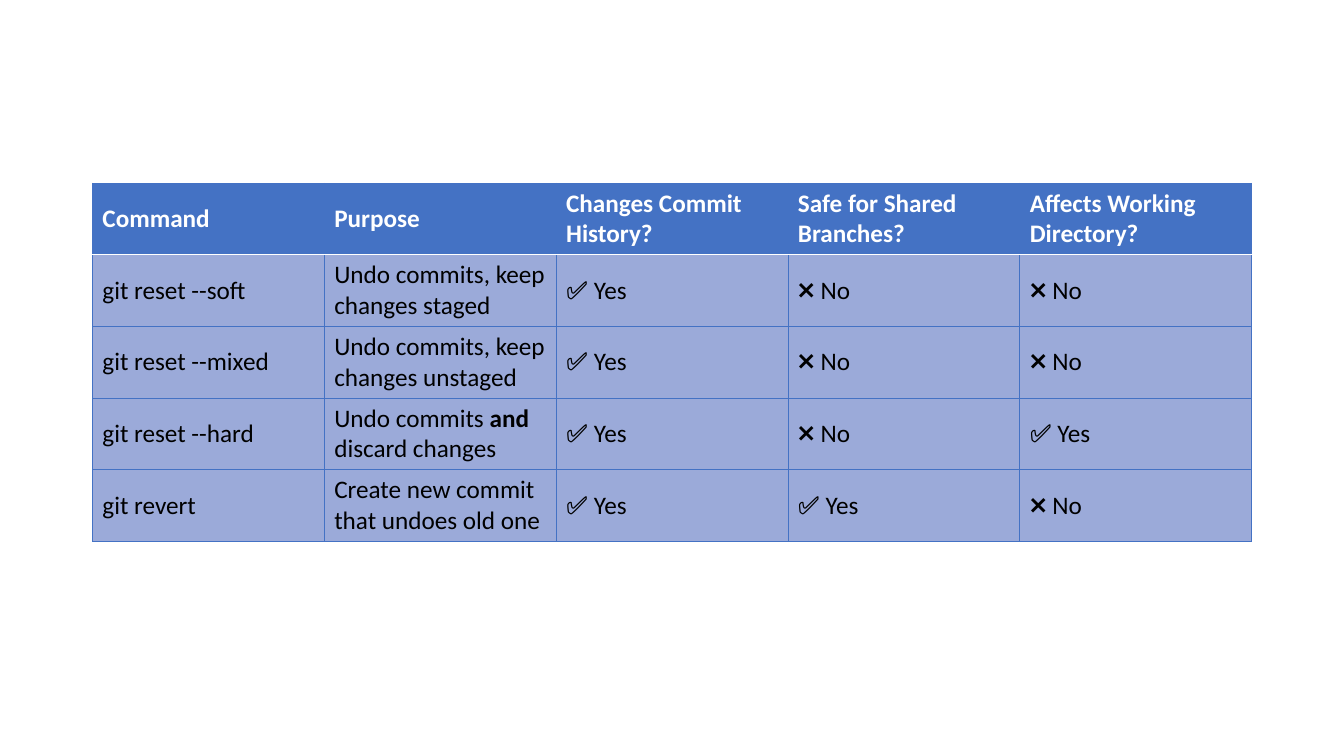
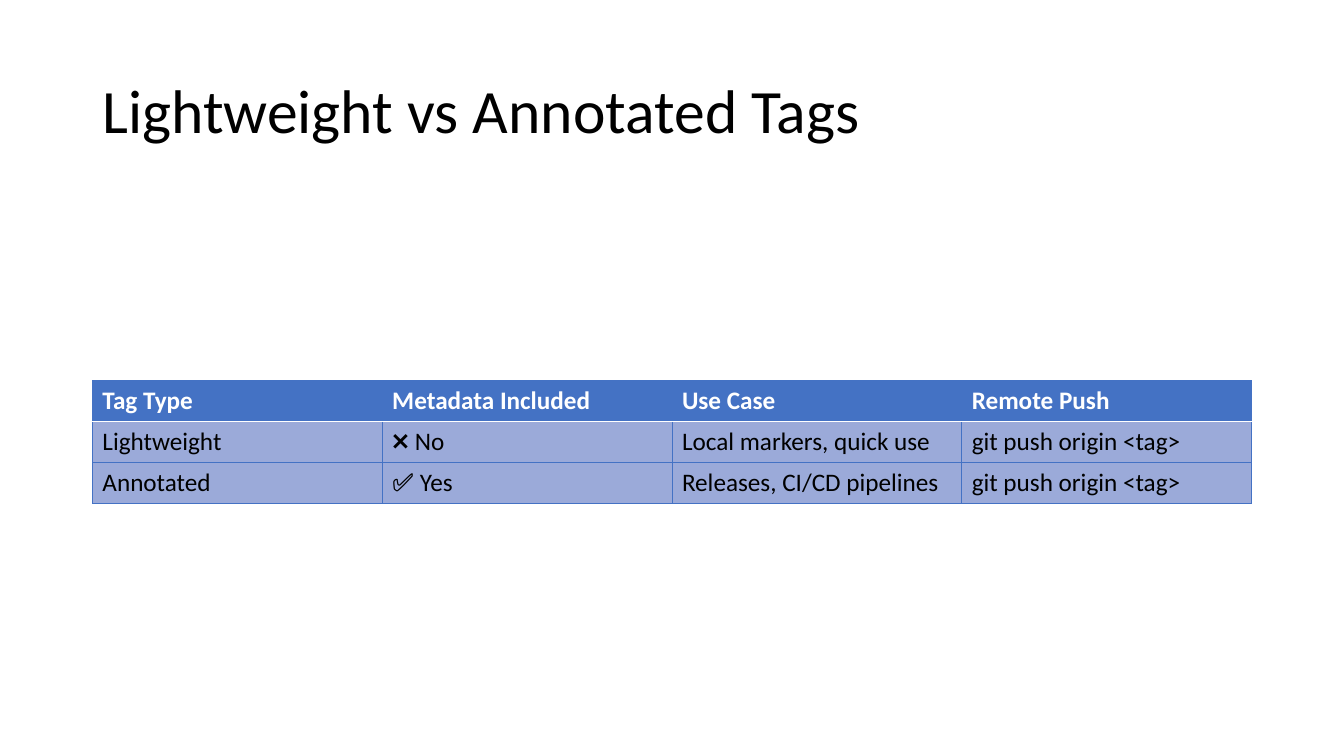
from lxml.etree import SubElement as Sub
from pptx import Presentation
from pptx.dml.color import RGBColor as RGB
from pptx.enum.text import MSO_ANCHOR as Anchor
from pptx.oxml.ns import qn
from pptx.util import Inches, Pt

HUES = {"head": "4472C4", "body": "9BAAD9", "rule": "4472C4",
        "light": "FFFFFF", "dark": "000000"}
FONT = "Calibri"
UNIT = Inches(1) / 12
COLS, ROWS = 160, 90
LEFT, WIDE = 11, 138
YES, NO = "✅ Yes", "❌ No"

RESET = [
    ["Command", "Purpose", "Changes Commit History?",
     "Safe for Shared Branches?", "Affects Working Directory?"],
    ["git reset --soft", "Undo commits, keep changes staged", YES, NO, NO],
    ["git reset --mixed", "Undo commits, keep changes unstaged", YES, NO, NO],
    ["git reset --hard", "Undo commits **and** discard changes", YES, NO, YES],
    ["git revert", "Create new commit that undoes old one", YES, YES, NO],
]
TAGS = [
    ["Tag Type", "Metadata Included", "Use Case", "Remote Push"],
    ["Lightweight", NO, "Local markers, quick use", "git push origin <tag>"],
    ["Annotated", YES, "Releases, CI/CD pipelines", "git push origin <tag>"],
]


def grid(*box):
    """Turn grid units into lengths."""
    return [round(n * UNIT) for n in box]


def write(para, text, size, hue, bold=False):
    """Write text in one style, with parts between ** set bold."""
    for i, part in enumerate(text.split("**")):
        run = para.add_run()
        run.text = part
        font = run.font
        font.name, font.size = FONT, Pt(size)
        font.bold = bold or i % 2 == 1
        font.color.rgb = RGB.from_string(HUES[hue])


def edge(cell, side, hue, width):
    """Draw one border of a cell."""
    props = cell._tc.get_or_add_tcPr()
    line = Sub(props, qn(f"a:ln{side}"), w=str(Pt(width)))
    fill = Sub(line, qn("a:solidFill"))
    Sub(fill, qn("a:srgbClr"), val=HUES[hue])


def style(cell, text, row):
    """Fill, frame and write one cell by its row."""
    head = row == 0
    split = {0: "B", 1: "T"}.get(row)
    for side in "LRTB":
        edge(cell, side, *(("light", 1) if side == split else ("rule", 0.5)))
    cell.fill.solid()
    cell.fill.fore_color.rgb = RGB.from_string(HUES["head" if head else "body"])
    cell.vertical_anchor = Anchor.MIDDLE
    write(cell.text_frame.paragraphs[0], text, 18,
          "light" if head else "dark", head)


def table(slide, data, top, step):
    """Place a table of even columns and rows across the slide."""
    count = len(data[0])
    box = grid(LEFT, top, WIDE, step * len(data))
    tab = slide.shapes.add_table(len(data), count, *box).table
    tab.horz_banding = False
    for col in tab.columns:
        col.width = round(WIDE * UNIT / count)
    for r, line in enumerate(data):
        tab.rows[r].height = round(step * UNIT)
        for c, text in enumerate(line):
            style(tab.cell(r, c), text, r)


def title(slide, text):
    """Place the slide title."""
    frame = slide.shapes.add_textbox(*grid(LEFT, 4.8, WIDE, 17.4)).text_frame
    frame.word_wrap = True
    frame.vertical_anchor = Anchor.MIDDLE
    para = frame.paragraphs[0]
    para.line_spacing = 0.9
    write(para, text, 44, "dark")


def main():
    """Build and save the slides."""
    deck = Presentation()
    deck.slide_width, deck.slide_height = grid(COLS, ROWS)
    blank = deck.slide_layouts[6]
    table(deck.slides.add_slide(blank), RESET, 21.8, 8.53)
    slide = deck.slides.add_slide(blank)
    title(slide, "Lightweight vs Annotated Tags")
    table(slide, TAGS, 45.3, 4.87)
    deck.save("out.pptx")


if __name__ == "__main__":
    main()
